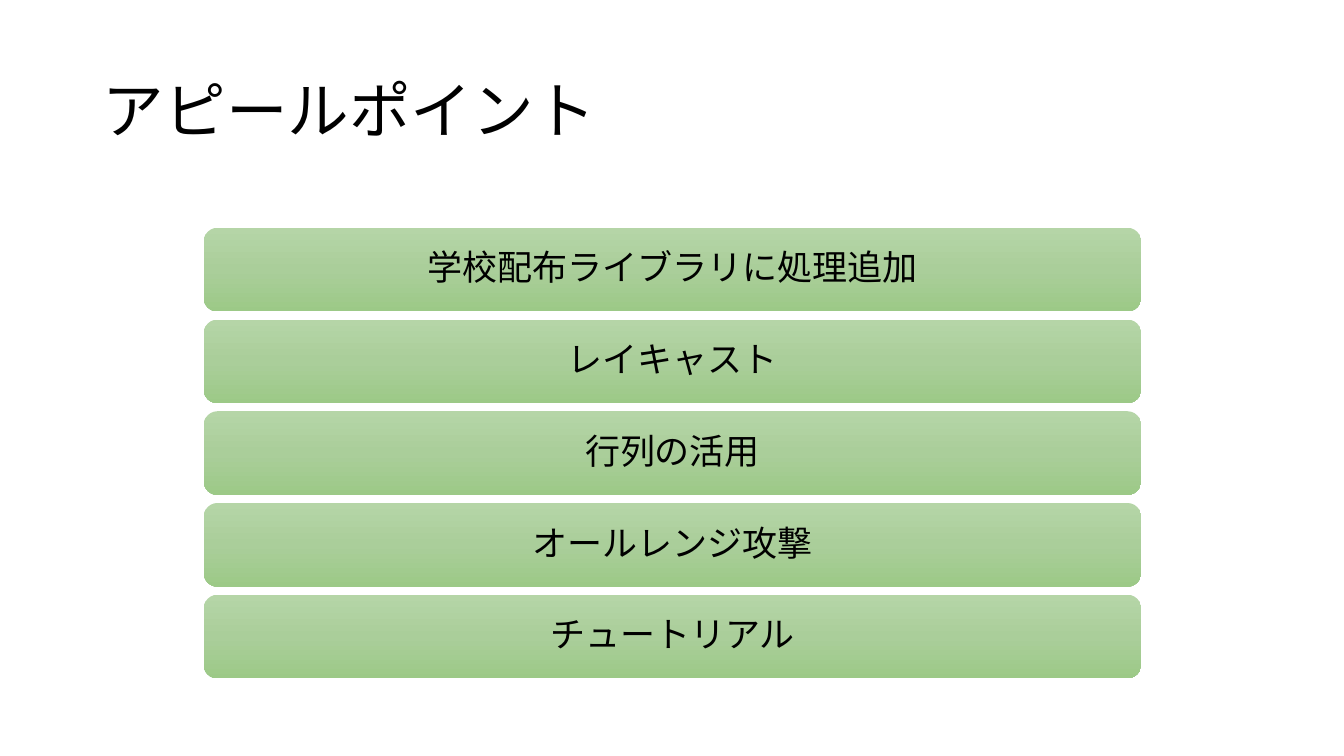
from copy import deepcopy
from dataclasses import dataclass

from lxml.etree import SubElement
from pptx import Presentation
from pptx.dml.color import RGBColor as Color
from pptx.enum.shapes import MSO_SHAPE as Shape
from pptx.enum.text import MSO_ANCHOR as Anchor, PP_ALIGN as Align
from pptx.oxml.ns import qn
from pptx.util import Inches, Pt


@dataclass(frozen=True)
class Theme:
    """Colours and type sizes of the deck."""
    font: str = "Noto Sans CJK JP"
    ink: str = "000000"
    bar_gradient: tuple = ("B5D5A7", "AACE9A", "9CC987")
    title_size: int = 44
    bar_size: int = 25
    line_spacing: float = 0.9


@dataclass(frozen=True)
class Grid:
    """Column of equally spaced rows, in inches."""
    left: float = 2.02
    top: float = 2.26
    width: float = 9.3
    row_height: float = 0.83
    pitch: float = 0.91

    def cell(self, row):
        """Return left, top, width and height of a row."""
        return self.left, self.top + row * self.pitch, self.width, self.row_height


class SlideBuilder:
    """Holds the style and the current slide."""

    def __init__(self, slide, theme, grid):
        """Keep the slide, its theme and its grid."""
        self.slide, self.theme, self.grid = slide, theme, grid

    def set_text(self, shape, text, size, align):
        """Fill a shape with one styled, vertically centred paragraph."""
        frame = shape.text_frame
        frame.word_wrap = True
        frame.vertical_anchor = Anchor.MIDDLE
        para = frame.paragraphs[0]
        para.text = text
        para.alignment = align
        para.line_spacing = self.theme.line_spacing
        font = para.font
        font.size, font.name = Pt(size), self.theme.font
        font.color.rgb = Color.from_string(self.theme.ink)
        properties = para._p.pPr.find(qn("a:defRPr"))
        SubElement(properties, qn("a:ea"), typeface=self.theme.font)

    def title(self, text, box):
        """Place the title placeholder and set its text."""
        title = self.slide.shapes.title
        title.left, title.top, title.width, title.height = map(Inches, box)
        self.set_text(title, text, self.theme.title_size, Align.LEFT)

    def bar(self, row, text):
        """Draw a rounded gradient bar in a grid row."""
        box = map(Inches, self.grid.cell(row))
        bar = self.slide.shapes.add_shape(Shape.ROUNDED_RECTANGLE, *box)
        bar.shadow.inherit = False
        bar.line.fill.background()
        self.shade(bar)
        self.set_text(bar, text, self.theme.bar_size, Align.CENTER)

    def shade(self, shape):
        """Give a shape the three-stop gradient, top to bottom."""
        fill = shape.fill
        fill.gradient()
        fill.gradient_angle = 270
        first = shape._element.spPr.find(".//" + qn("a:gs"))
        first.addnext(deepcopy(first))
        colours = self.theme.bar_gradient
        for index, (stop, colour) in enumerate(zip(fill.gradient_stops, colours)):
            stop.position = index / (len(colours) - 1)
            stop.color.rgb = Color.from_string(colour)


POINTS = (
    "学校配布ライブラリに処理追加",
    "レイキャスト",
    "行列の活用",
    "オールレンジ攻撃",
    "チュートリアル",
)

deck = Presentation()
deck.slide_width, deck.slide_height = Inches(13.33), Inches(7.5)
title_only = deck.slide_layouts[5]
page = SlideBuilder(deck.slides.add_slide(title_only), Theme(), Grid())
page.title("アピールポイント", (0.92, 0.4, 11.5, 1.45))
for row, point in enumerate(POINTS):
    page.bar(row, point)
deck.save("out.pptx")
